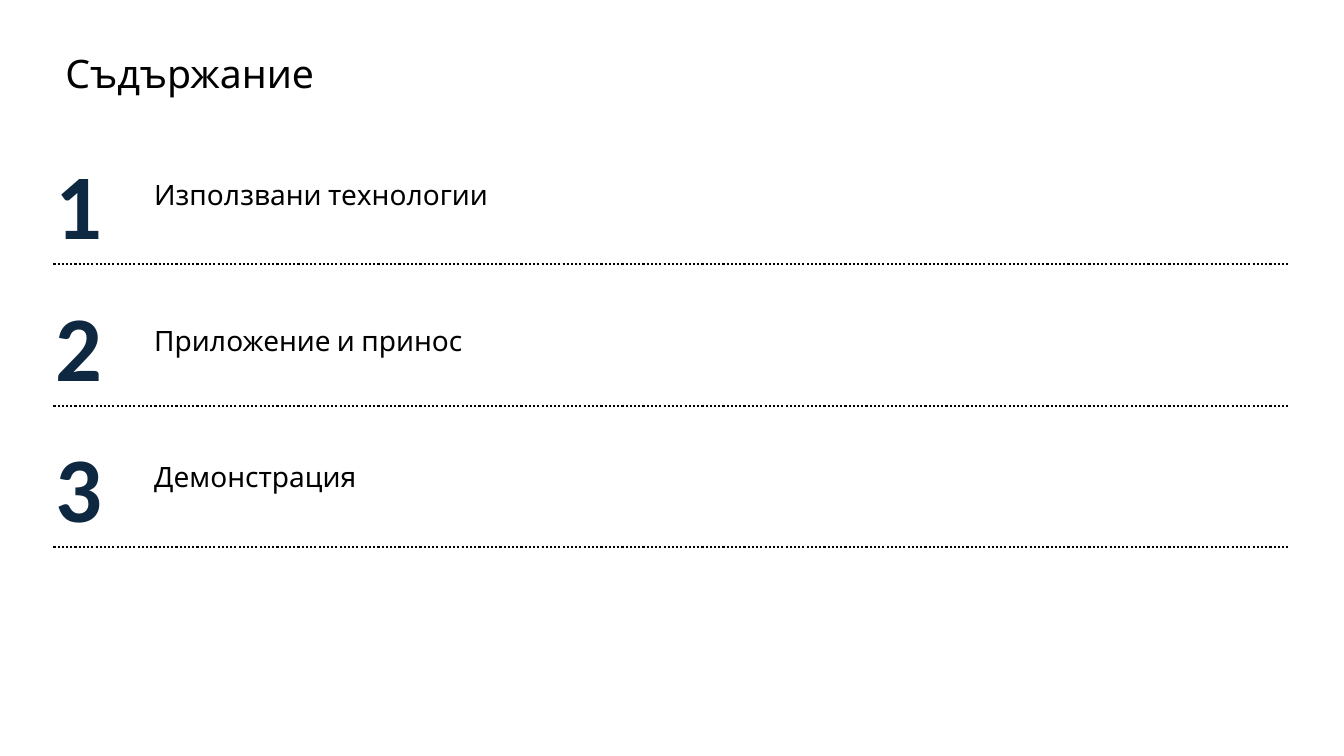
from pptx import Presentation
from pptx.dml.color import RGBColor as RGB
from pptx.enum.dml import MSO_LINE as Dash
from pptx.enum.shapes import MSO_CONNECTOR as Conn
from pptx.enum.text import MSO_ANCHOR as Anchor
from pptx.oxml.ns import qn
from pptx.util import Inches as In, Pt
from lxml.etree import SubElement as Sub

HUES = {"ink": "000000", "navy": "0E2841"}
FONTS = {
    "title": {"name": "Cabin", "size": Pt(28), "bold": False},
    "digit": {"name": "Calibri", "size": Pt(66), "bold": True},
    "label": {"name": "Cabin", "size": Pt(20), "bold": False},
}
# Each topic with the drop of its label below the row top
TOPICS = [
    ("Използвани технологии", 0.34),
    ("Приложение и принос", 0.38),
    ("Демонстрация", 0.33),
]
LEFT, TOP, WIDE, PITCH = 0.55, 1.42, 12.23, 1.405


def add_text(slide, box, text, style, hue="ink", pad=(0, 0)):
    frame = slide.shapes.add_textbox(*map(In, box)).text_frame
    side, head = pad
    form = {
        "word_wrap": True,
        "margin_left": In(side),
        "margin_right": In(side),
        "margin_top": In(head),
        "margin_bottom": 0,
    }
    for key, val in form.items():
        setattr(frame, key, val)
    run = frame.paragraphs[0].add_run()
    run.text = text
    for key, val in FONTS[style].items():
        setattr(run.font, key, val)
    run.font.color.rgb = RGB.from_string(HUES[hue])
    return frame


def add_rule(slide, x, y, wide):
    rule = slide.shapes.add_connector(Conn.STRAIGHT, In(x), In(y), In(x + wide), In(y))
    rule.line.color.rgb = RGB.from_string(HUES["ink"])
    rule.line.width = Pt(1.5)
    rule.line.dash_style = Dash.ROUND_DOT
    Sub(rule._element.spPr, qn("a:effectLst"))


def add_title(slide, box, text):
    frame = add_text(slide, box, text, "title", pad=(0.1, 0))
    frame.vertical_anchor = Anchor.MIDDLE
    frame.paragraphs[0].line_spacing = 0.9


def add_row(slide, box, num, text, drop):
    x, y, wide, high = box
    # Large number, topic label, dotted rule
    add_text(slide, (x, y, 0.75, 1.11), str(num), "digit", "navy", (0, 0.04))
    add_text(slide, (x + 0.98, y + drop, 10.8, 0.34), text, "label")
    add_rule(slide, x - 0.02, y + high, wide + 0.03)


def main():
    deck = Presentation()
    deck.slide_width, deck.slide_height = In(13.33), In(7.5)
    slide = deck.slides.add_slide(deck.slide_layouts[6])
    # Heading
    add_title(slide, (LEFT, 0.55, WIDE, 0.4), "Съдържание")
    # Numbered topics
    for i, (text, drop) in enumerate(TOPICS):
        add_row(slide, (LEFT, TOP + i * PITCH, WIDE, 1.2), i + 1, text, drop)
    deck.save("out.pptx")


if __name__ == "__main__":
    main()
